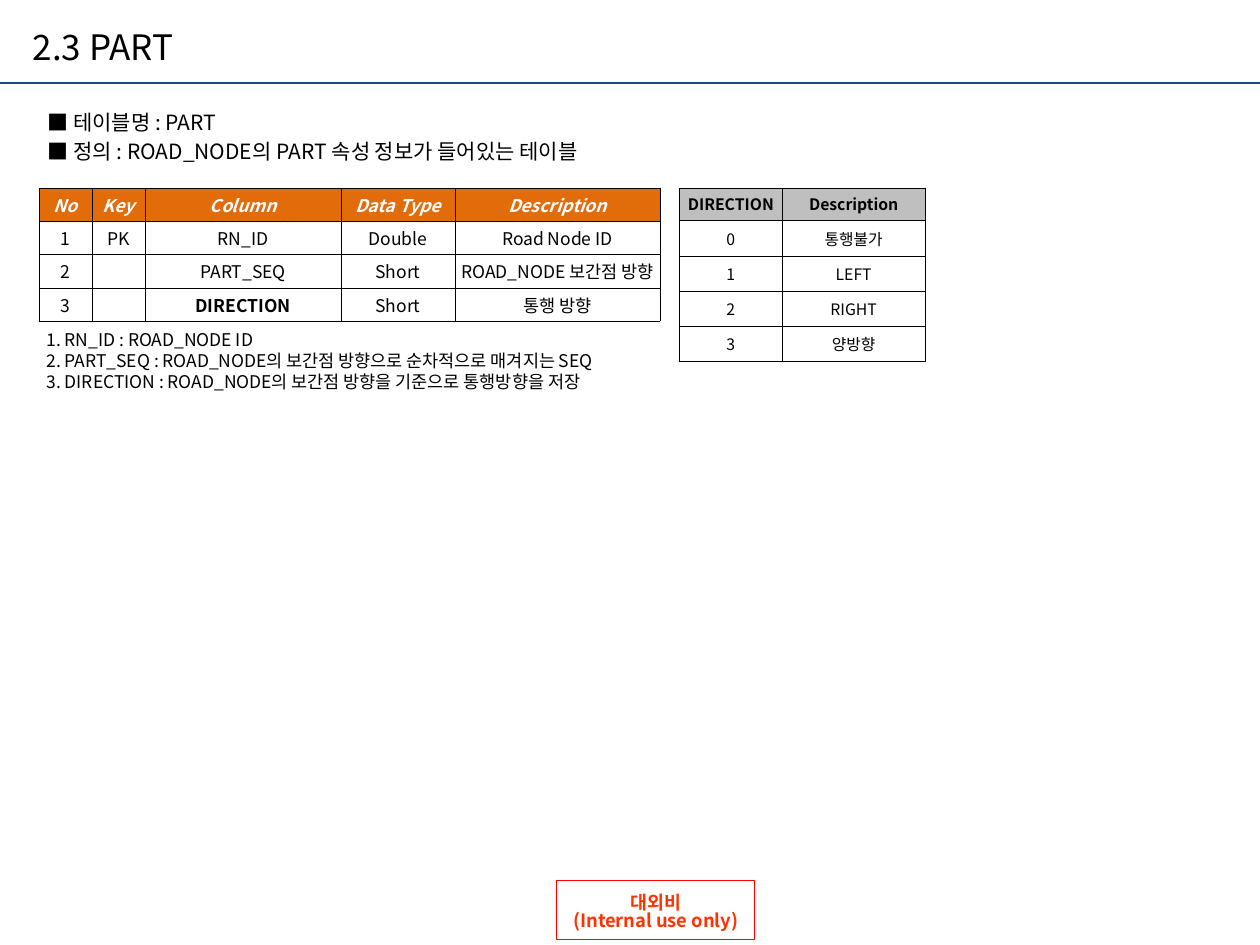
from lxml import etree
from pptx import Presentation
from pptx import util as u
from pptx.dml.color import RGBColor
from pptx.enum import shapes, text
from pptx.oxml import ns

FONT = "Noto Sans CJK KR"
BLACK = RGBColor(0, 0, 0)
WHITE = RGBColor(255, 255, 255)
NAVY = RGBColor(0x1C, 0x47, 0x7A)
RED = RGBColor(255, 0, 0)
STAMP_RED = RGBColor(0xFF, 0x33, 0)
ORANGE = RGBColor(0xE3, 0x6C, 0x0A)
GREY = RGBColor(0xBF, 0xBF, 0xBF)

COLUMNS = [
    ["No", "Key", "Column", "Data Type", "Description"],
    ["1", "PK", "RN_ID", "Double", "Road Node ID"],
    ["2", "", "PART_SEQ", "Short", "ROAD_NODE 보간점 방향"],
    ["3", "", "DIRECTION", "Short", "통행 방향"],
]
DIRECTIONS = [
    ["DIRECTION", "Description"],
    ["0", "통행불가"],
    ["1", "LEFT"],
    ["2", "RIGHT"],
    ["3", "양방향"],
]


def inches(*values):
    return [u.Inches(value) for value in values]


def write(frame, lines, size, color=BLACK, bold=False, italic=False,
          align=text.PP_ALIGN.LEFT, before=0, hanging=0):
    frame.text = "\n".join(lines)
    for paragraph in frame.paragraphs:
        paragraph.alignment = align
        paragraph.space_before = u.Pt(before)
        if hanging:
            properties = paragraph._p.get_or_add_pPr()
            properties.set("marL", str(u.Inches(hanging)))
            properties.set("indent", str(-u.Inches(hanging)))
        for run in paragraph.runs:
            font = run.font
            font.size, font.name = u.Pt(size), FONT
            font.bold, font.italic = bold, italic
            font.color.rgb = color
            etree.SubElement(run._r.get_or_add_rPr(), ns.qn("a:ea"), typeface=FONT)
        if not paragraph.runs:
            etree.SubElement(paragraph._p, ns.qn("a:endParaRPr"), sz=str(size * 100))


def add_title(slide, title):
    heading = slide.shapes.title
    heading.left, heading.top, heading.width, heading.height = inches(0.16, 0.11, 6.88, 0.52)
    frame = heading.text_frame
    frame.auto_size = text.MSO_AUTO_SIZE.NONE
    frame.vertical_anchor = text.MSO_ANCHOR.MIDDLE
    write(frame, [title], 20, hanging=0.38)


def add_text(slide, box, lines, size, anchor, **style):
    frame = slide.shapes.add_textbox(*inches(*box)).text_frame
    frame.word_wrap = True
    frame.vertical_anchor = anchor
    write(frame, lines, size, **style)


def add_rule(slide):
    rule = slide.shapes.add_connector(shapes.MSO_CONNECTOR.STRAIGHT, *inches(0, 0.66, 10, 0.66))
    rule.line.color.rgb = NAVY
    rule.line.width = u.Pt(1)
    etree.SubElement(rule._element.spPr, ns.qn("a:effectLst"))


def add_stamp(slide):
    stamp = slide.shapes.add_shape(shapes.MSO_SHAPE.RECTANGLE, *inches(4.42, 6.99, 1.57, 0.47))
    stamp.shadow.inherit = False
    stamp.fill.solid()
    stamp.fill.fore_color.rgb = WHITE
    stamp.line.color.rgb = RED
    stamp.line.width = u.Pt(0.5)
    frame = stamp.text_frame
    frame.word_wrap = False
    frame.vertical_anchor = text.MSO_ANCHOR.MIDDLE
    (frame.margin_left, frame.margin_top,
     frame.margin_right, frame.margin_bottom) = inches(0.12, 0.14, 0.12, 0.06)
    write(frame, ["대외비", "(Internal use only)"], 10.5, STAMP_RED, bold=True,
          align=text.PP_ALIGN.CENTER, before=5.25)
    for paragraph in frame.paragraphs:
        paragraph.line_spacing = 0.4


def add_borders(cell):
    properties = cell._tc.get_or_add_tcPr()
    for index, side in enumerate(("lnL", "lnR", "lnT", "lnB")):
        border = etree.Element(ns.qn("a:" + side), w=str(u.Pt(0.25)))
        fill = etree.SubElement(border, ns.qn("a:solidFill"))
        etree.SubElement(fill, ns.qn("a:srgbClr"), val=str(BLACK))
        properties.insert(index, border)


def add_grid(slide, left, top, widths, heights, rows, size, head_fill, head_style,
             body_margins, bold_cells=()):
    table = slide.shapes.add_table(
        len(rows), len(widths), *inches(left, top, sum(widths), sum(heights))).table
    for column, width in zip(table.columns, widths):
        column.width = u.Inches(width)
    for row_index, (row, height) in enumerate(zip(rows, heights)):
        table.rows[row_index].height = u.Inches(height)
        head = row_index == 0
        for column_index, value in enumerate(row):
            cell = table.cell(row_index, column_index)
            side, edge = (0.02, 0) if head else body_margins
            cell.margin_left = cell.margin_right = u.Inches(side)
            cell.margin_top = cell.margin_bottom = u.Inches(edge)
            cell.vertical_anchor = text.MSO_ANCHOR.MIDDLE
            if head:
                cell.fill.solid()
                cell.fill.fore_color.rgb = head_fill
            else:
                cell.fill.background()
            style = head_style if head else {"bold": (row_index, column_index) in bold_cells}
            write(cell.text_frame, [value], size, align=text.PP_ALIGN.CENTER, **style)
            add_borders(cell)


def main():
    deck = Presentation()
    deck.slide_width, deck.slide_height = inches(10, 7.5)
    slide = deck.slides.add_slide(deck.slide_layouts[5])
    add_rule(slide)
    add_stamp(slide)
    add_title(slide, "2.3 PART")
    add_text(slide, (0.28, 0.76, 5.35, 0.65), [
        "■ 테이블명 : PART",
        "■ 정의 : ROAD_NODE의 PART 속성 정보가 들어있는 테이블",
    ], 12, text.MSO_ANCHOR.MIDDLE, before=2.4, hanging=0.38)
    add_grid(slide, 0.31, 1.49, [0.42, 0.42, 1.56, 0.9, 1.63], [0.265] * 4, COLUMNS, 10,
             ORANGE, {"color": WHITE, "bold": True, "italic": True}, (0.02, 0), {(3, 2)})
    add_grid(slide, 5.39, 1.49, [0.82, 1.13], [0.26] + [0.28] * 4, DIRECTIONS, 9,
             GREY, {"bold": True}, (0.1, 0.05))
    add_text(slide, (0.27, 2.56, 9.65, 0.61), [
        "1. RN_ID : ROAD_NODE ID",
        "2. PART_SEQ : ROAD_NODE의 보간점 방향으로 순차적으로 매겨지는 SEQ",
        "3. DIRECTION : ROAD_NODE의 보간점 방향을 기준으로 통행방향을 저장",
    ], 10, text.MSO_ANCHOR.TOP, hanging=0.25)
    deck.save("out.pptx")


main()
